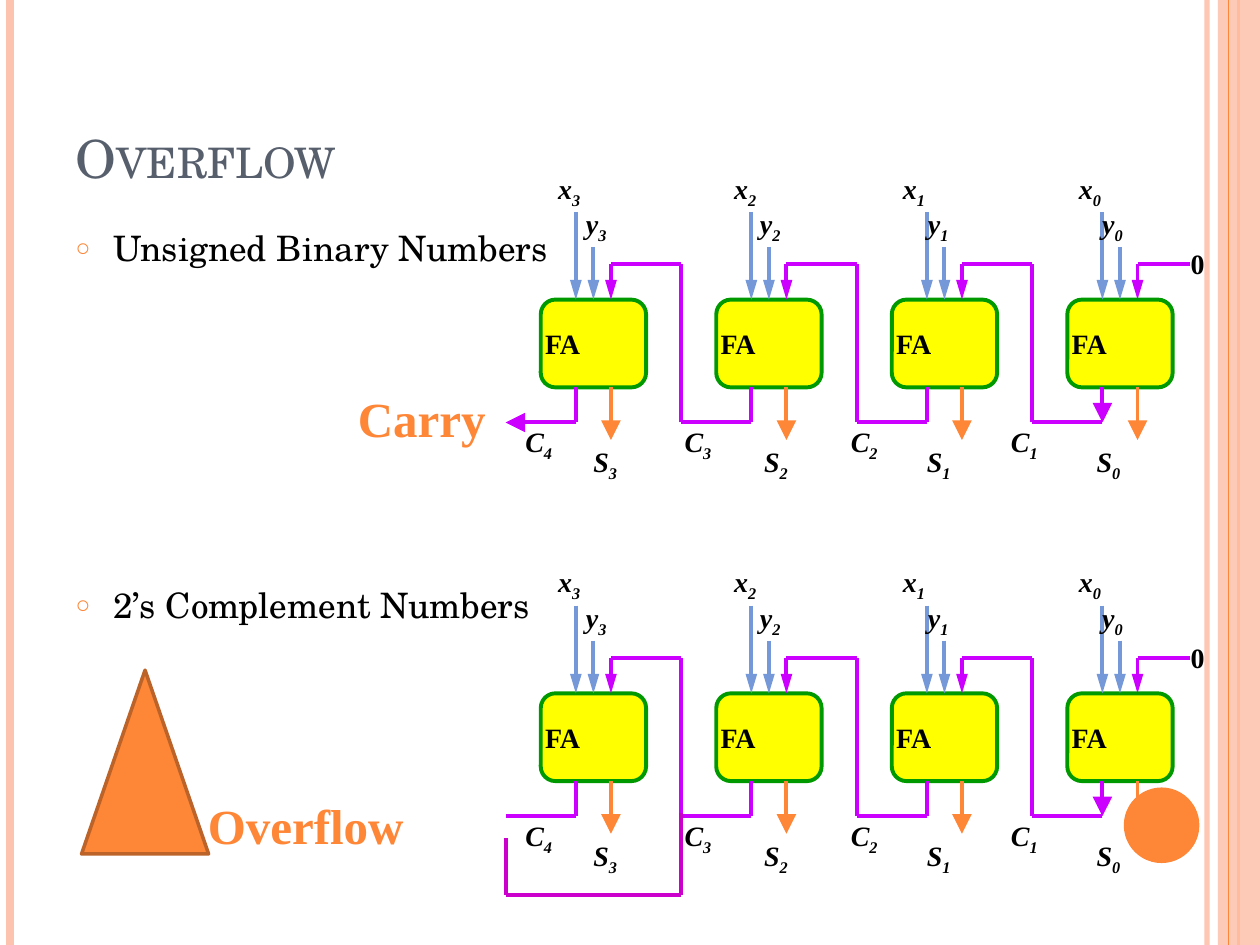
from lxml import etree
from pptx import Presentation
from pptx.dml.color import RGBColor
from pptx.enum import shapes, text
from pptx.oxml.ns import qn
from pptx.util import Pt

SERIF, TIMES = "TeX Gyre Schola", "Times New Roman"
ORANGE, PINK, BLUE, PURPLE = "FE8637", "FEC3AE", "7598D9", "CC00FF"
STEP = 10.03  # grid unit of the adder circuits
CIRCUIT_LEFT, CIRCUIT_GAP = 309, 225
COLUMNS = 4
INPUT_HEAD, OUTPUT_HEAD = "med", "lg"  # arrowhead widths


def rgb(value):
    return RGBColor.from_string(value)


def sub(parent, tag, **attrs):
    el = etree.SubElement(parent, qn(tag))
    for key, value in attrs.items():
        el.set(key, str(value))
    return el


class Deck:
    def __init__(self, prs):
        self.s = prs.slides.add_slide(prs.slide_layouts[1])

    def font(self, p, size, name=TIMES, color="000000", bold=True, italic=False):
        for r in p.runs:
            f = r.font
            f.size, f.name, f.bold, f.italic = Pt(size), name, bold, italic
            f.color.rgb = rgb(color)

    def fade(self, fill_parent, percent):
        """Make the solid fill under an element partly transparent."""
        sub(fill_parent.find(qn("a:solidFill"))[0], "a:alpha", val=percent * 1000)

    def line(self, x1, y1, x2, y2, color=PURPLE, width=2.25, head=None, opacity=100):
        c = self.s.shapes.add_connector(
            shapes.MSO_CONNECTOR.STRAIGHT, Pt(x1), Pt(y1), Pt(x2), Pt(y2))
        c.line.color.rgb = rgb(color)
        c.line.width = Pt(width)
        ln = c.line._get_or_add_ln()
        if opacity < 100:
            self.fade(ln, opacity)
        if head:
            sub(ln, "a:tailEnd", type="triangle", w=head, len="lg")
        sub(c._element.spPr, "a:effectLst")

    def shape(self, kind, x, y, w, h, fill, line=None, width=1, opacity=100):
        sp = self.s.shapes.add_shape(kind, Pt(x), Pt(y), Pt(w), Pt(h))
        sp.shadow.inherit = False
        sp.fill.solid()
        sp.fill.fore_color.rgb = rgb(fill)
        if opacity < 100:
            self.fade(sp._element.spPr, opacity)
        if line:
            sp.line.color.rgb = rgb(line)
            sp.line.width = Pt(width)
        else:
            sp.line.fill.background()
        return sp

    def no_margins(self, tf):
        tf.margin_left = tf.margin_top = tf.margin_right = tf.margin_bottom = 0

    def label(self, x, y, w, h, words, size=16, color="000000"):
        tf = self.s.shapes.add_textbox(Pt(x), Pt(y), Pt(w), Pt(h)).text_frame
        self.no_margins(tf)
        tf.text = words
        self.font(tf.paragraphs[0], size, color=color)

    def signals(self, x, y, w, letter, indexes, stops):
        """One row of subscripted signal names, set on tab stops."""
        tf = self.s.shapes.add_textbox(Pt(x), Pt(y), Pt(w), Pt(17.5)).text_frame
        self.no_margins(tf)
        tf.word_wrap = True
        p = tf.paragraphs[0]
        tabs = sub(p._p.get_or_add_pPr(), "a:tabLst")
        for stop in stops:
            sub(tabs, "a:tab", pos=Pt(stop), algn="l")
        for n, index in enumerate(indexes):
            p.add_run().text = ("\t" if n else "") + letter
            r = p.add_run()
            r.text = str(index)
            r.font._element.set("baseline", "-25000")
        self.font(p, 16, italic=True)

    def place(self, ph, x, y, w, h):
        ph.left, ph.top, ph.width, ph.height = Pt(x), Pt(y), Pt(w), Pt(h)
        ph.text_frame.auto_size = text.MSO_AUTO_SIZE.NONE
        return ph.text_frame

    def title(self, words):
        tf = self.place(self.s.shapes.title, 36, 21.6, 606, 90)
        tf.text = words
        tf.vertical_anchor = text.MSO_ANCHOR.BOTTOM
        p = tf.paragraphs[0]
        p.alignment = text.PP_ALIGN.LEFT
        self.font(p, 30, SERIF, "575F6D", bold=False)
        p.runs[0].font._element.set("cap", "small")

    def bullets(self, items, gap):
        tf = self.place(self.s.placeholders[1], 36, 126, 606, 384)
        tf.text = "\n".join(items)
        for n, p in enumerate(tf.paragraphs):
            p.space_before = Pt(gap if n else 0)
            pPr = p._p.get_or_add_pPr()
            pPr.set("marL", str(Pt(21.6)))
            pPr.set("indent", str(Pt(-21.6)))
            sub(sub(pPr, "a:buClr"), "a:srgbClr", val=ORANGE)
            sub(pPr, "a:buSzPct", val=70000)
            sub(pPr, "a:buChar", char="○")
            self.font(p, 20, SERIF, bold=False)

    def adder(self, x, top, first, last, carry_arrow):
        """One full adder with its inputs, sum and carry wires."""
        bottom = top + 5 * STEP
        x_in, y_in, carry_in = (x + n * STEP for n in (2, 3, 4))
        carry_y, feed_y = bottom + 2 * STEP, top - 2 * STEP
        sp = self.shape(shapes.MSO_SHAPE.ROUNDED_RECTANGLE, x, top, 6 * STEP, 5 * STEP,
                        "FFFF00", "009900", 2.25)
        tf = sp.text_frame
        self.no_margins(tf)
        tf.text = "FA"
        tf.vertical_anchor = text.MSO_ANCHOR.MIDDLE
        tf.paragraphs[0].alignment = text.PP_ALIGN.LEFT
        self.font(tf.paragraphs[0], 16)

        self.line(carry_in, feed_y, carry_in, top, head=INPUT_HEAD)
        self.line(y_in, top - 3 * STEP, y_in, top, BLUE, head=INPUT_HEAD)
        self.line(x_in, top - 5 * STEP, x_in, top, BLUE, head=INPUT_HEAD)
        self.line(carry_in, bottom, carry_in, bottom + 3 * STEP, ORANGE, head=OUTPUT_HEAD)
        self.line(x_in, bottom, x_in, carry_y, head=OUTPUT_HEAD if last else None)
        self.line(x_in, carry_y, x - 2 * STEP, carry_y,
                  head=OUTPUT_HEAD if first and carry_arrow else None)
        if not first:
            self.line(x - 2 * STEP, carry_y, x - 2 * STEP, feed_y)
        feed_x = x + (7 if last else 8) * STEP
        self.line(feed_x, feed_y, carry_in, feed_y)

    def circuit(self, top, carry_arrow):
        for n in range(COLUMNS):
            self.adder(CIRCUIT_LEFT + 10 * n * STEP, top, n == 0, n == COLUMNS - 1,
                       carry_arrow)
        down = (3, 2, 1, 0)
        self.signals(319, top - 73.4, 321, "x", down, (100.5, 197, 297.5))
        self.signals(334.8, top - 53.3, 321, "y", down, (99.5, 195.5, 295))
        self.signals(339.1, top + 83, 331, "S", down, (97.5, 190.5, 287.5))
        self.signals(300.2, top + 71.3, 331, "C", (4, 3, 2, 1), (91, 186, 277.5))
        self.label(680.4, top - 30.3, 20, 17.5, "0")


def main():
    prs = Presentation()
    prs.slide_width, prs.slide_height = Pt(720), Pt(540)
    d = Deck(prs)

    for x, color, width, opacity in ((689.8, PINK, 3, 93), (5.8, PINK, 4.5, 100),
                                     (707.8, ORANGE, 1.5, 100)):
        d.line(x, 0, x, 540, color, width, opacity=opacity)
    d.shape(shapes.MSO_SHAPE.RECTANGLE, 696, 0, 24, 540, PINK, opacity=87)
    d.line(702, 0, 702, 540, ORANGE, 0.75)

    d.title("Overflow")
    d.bullets(("Unsigned Binary Numbers", "2’s Complement Numbers"), gap=180)

    top = 171.2
    d.circuit(top, carry_arrow=True)
    d.label(204.5, 221.8, 73, 30, "Carry", 28, ORANGE)
    d.circuit(top + CIRCUIT_GAP, carry_arrow=False)
    d.label(118.8, 454.3, 112, 30, "Overflow", 28, ORANGE)

    left, right, base = CIRCUIT_LEFT - 2 * STEP, CIRCUIT_LEFT + 8 * STEP, 511.2
    for ends in ((left, base, left, 478.8), (right, base, right, 464.4),
                 (left, base, right, base)):
        d.line(*ends, "CC00CC")
    d.shape(shapes.MSO_SHAPE.ISOSCELES_TRIANGLE, 46.6, 383, 72.6, 105, ORANGE, "BC6329", 2)
    d.shape(shapes.MSO_SHAPE.OVAL, 642.2, 450, 43.2, 43.2, ORANGE)
    prs.save("out.pptx")


if __name__ == "__main__":
    main()
